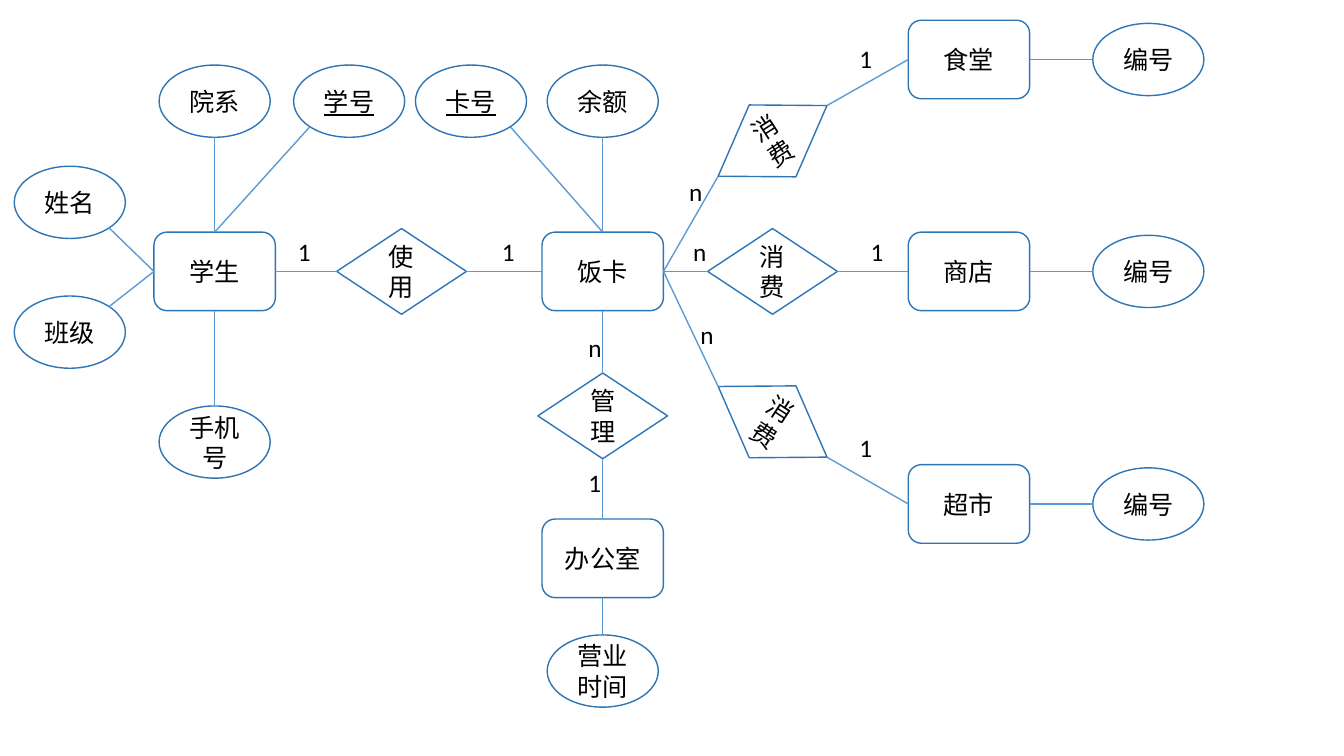
import math

from lxml import etree
from pptx import Presentation
from pptx import util as u
from pptx.dml.color import RGBColor
from pptx.enum import shapes, text
from pptx.oxml import ns

OUTLINE = RGBColor(0x2E, 0x75, 0xB6)
LINK = RGBColor(0x5B, 0x9B, 0xD5)
BLACK = RGBColor(0, 0, 0)
FONT = "Calibri"

KINDS = {
    "attribute": (shapes.MSO_SHAPE.OVAL, 2.8, 1.82),
    "entity": (shapes.MSO_SHAPE.ROUNDED_RECTANGLE, 3.06, 1.98),
    "relation": (shapes.MSO_SHAPE.DIAMOND, 3.27, 2.16),
}

STUDENT_X, CARD_X, SPEND_X, SHOP_X, NUMBER_X = 5.41, 15.19, 19.47, 24.42, 28.94
TOP_Y, MIDDLE_Y = 2.55, 6.84
TILT = 33

NODES = {
    "name": ("attribute", "姓名", 1.76, 5.1),
    "department": ("attribute", "院系", STUDENT_X, TOP_Y),
    "student id": ("attribute", "学号", 8.8, TOP_Y),
    "card id": ("attribute", "卡号", 11.87, TOP_Y),
    "balance": ("attribute", "余额", CARD_X, TOP_Y),
    "class": ("attribute", "班级", 1.76, 8.37),
    "phone": ("attribute", "手机号", STUDENT_X, 11.14),
    "hours": ("attribute", "营业时间", CARD_X, 16.91),
    "student": ("entity", "学生", STUDENT_X, MIDDLE_Y),
    "card": ("entity", "饭卡", CARD_X, MIDDLE_Y),
    "office": ("entity", "办公室", CARD_X, 14.07),
    "use": ("relation", "使用", 10.12, MIDDLE_Y),
    "manage": ("relation", "管理", CARD_X, 10.48),
}
KEYS = {"student id", "card id"}

SHOPS = [
    ("食堂", 1.5, 3.55, -TILT),
    ("商店", MIDDLE_Y, MIDDLE_Y, 0),
    ("超市", 12.7, 10.63, TILT),
]

EDGES = [
    ("student", "top", "department", "bottom"),
    ("student", "left", "name", "bottom right"),
    ("student", "left", "class", "top right"),
    ("student", "top", "student id", "bottom left"),
    ("student", "bottom", "phone", "top"),
    ("student", "right", "use", "left"),
    ("use", "right", "card", "left"),
    ("card", "top", "balance", "bottom"),
    ("card", "top", "card id", "bottom right"),
    ("card", "bottom", "manage", "top"),
    ("manage", "bottom", "office", "top"),
    ("office", "bottom", "hours", "top"),
]

LABELS = [
    ("1", 7.26, 5.82), ("1", 12.4, 5.84),
    ("n", 14.58, 8.26), ("1", 14.58, 11.66),
    ("n", 17.12, 4.32), ("1", 21.41, 0.97),
    ("n", 17.22, 5.82), ("1", 21.69, 5.84),
    ("n", 17.4, 7.92), ("1", 21.41, 10.77),
]

SIDES = ["top", "left", "bottom", "right"]
STEPS = {"top": (0, -1), "left": (-1, 0), "bottom": (0, 1), "right": (1, 0)}

deck = Presentation()
deck.slide_width, deck.slide_height = u.Cm(33.87), u.Cm(19.05)
page = deck.slides.add_slide(deck.slide_layouts[6])
boxes = {}


def write(box, words, align=text.PP_ALIGN.CENTER, anchor=text.MSO_ANCHOR.MIDDLE,
          underline=None):
    frame = box.text_frame
    frame.word_wrap = True
    frame.vertical_anchor = anchor
    para = frame.paragraphs[0]
    para.alignment = align
    span = para.add_run()
    span.text = words
    span.font.name = FONT
    span.font.size = u.Pt(18)
    span.font.color.rgb = BLACK
    span.font.underline = underline


def add_node(name, kind, words, x, y, tilt=0):
    preset, width, height = KINDS[kind]
    box = page.shapes.add_shape(preset, u.Cm(x - width / 2), u.Cm(y - height / 2),
                                u.Cm(width), u.Cm(height))
    box.shadow.inherit = False
    box.fill.background()
    box.line.color.rgb = OUTLINE
    box.line.width = u.Pt(1)
    box.rotation = tilt
    write(box, words, underline=True if name in KEYS else None)
    boxes[name] = (box, kind, x, y, tilt)


def contact(name, side):
    box, kind, x, y, tilt = boxes[name]
    preset, width, height = KINDS[kind]
    steps = [STEPS[word] for word in side.split()]
    reach = 0.5 / math.sqrt(len(steps))
    dx = sum(step[0] for step in steps) * width * reach
    dy = sum(step[1] for step in steps) * height * reach
    turn = math.radians(tilt)
    return (u.Cm(x + dx * math.cos(turn) - dy * math.sin(turn)),
            u.Cm(y + dx * math.sin(turn) + dy * math.cos(turn)))


def add_edge(first, first_side, last, last_side):
    line = page.shapes.add_connector(shapes.MSO_CONNECTOR.STRAIGHT,
                                     *contact(first, first_side),
                                     *contact(last, last_side))
    line.line.color.rgb = LINK
    line.line.width = u.Pt(1)
    etree.SubElement(line._element.spPr, ns.qn("a:effectLst"))
    for name, side, join in ((first, first_side, line.begin_connect),
                             (last, last_side, line.end_connect)):
        box, kind, x, y, tilt = boxes[name]
        if kind != "attribute" and tilt == 0:
            join(box, SIDES.index(side))


for name, node in NODES.items():
    add_node(name, *node)

edges = list(EDGES)
for shop, shop_y, spend_y, tilt in SHOPS:
    spend, number = "spend " + shop, "number " + shop
    add_node(shop, "entity", shop, SHOP_X, shop_y)
    add_node(spend, "relation", "消费", SPEND_X, spend_y, tilt)
    add_node(number, "attribute", "编号", NUMBER_X, shop_y)
    edges += [("card", "right", spend, "left"),
              (spend, "right", shop, "left"),
              (shop, "right", number, "left")]

for edge in edges:
    add_edge(*edge)

for words, left, top in LABELS:
    label = page.shapes.add_textbox(u.Cm(left), u.Cm(top), u.Cm(0.61), u.Cm(1.02))
    write(label, words, align=text.PP_ALIGN.LEFT, anchor=text.MSO_ANCHOR.TOP)

deck.save("out.pptx")
